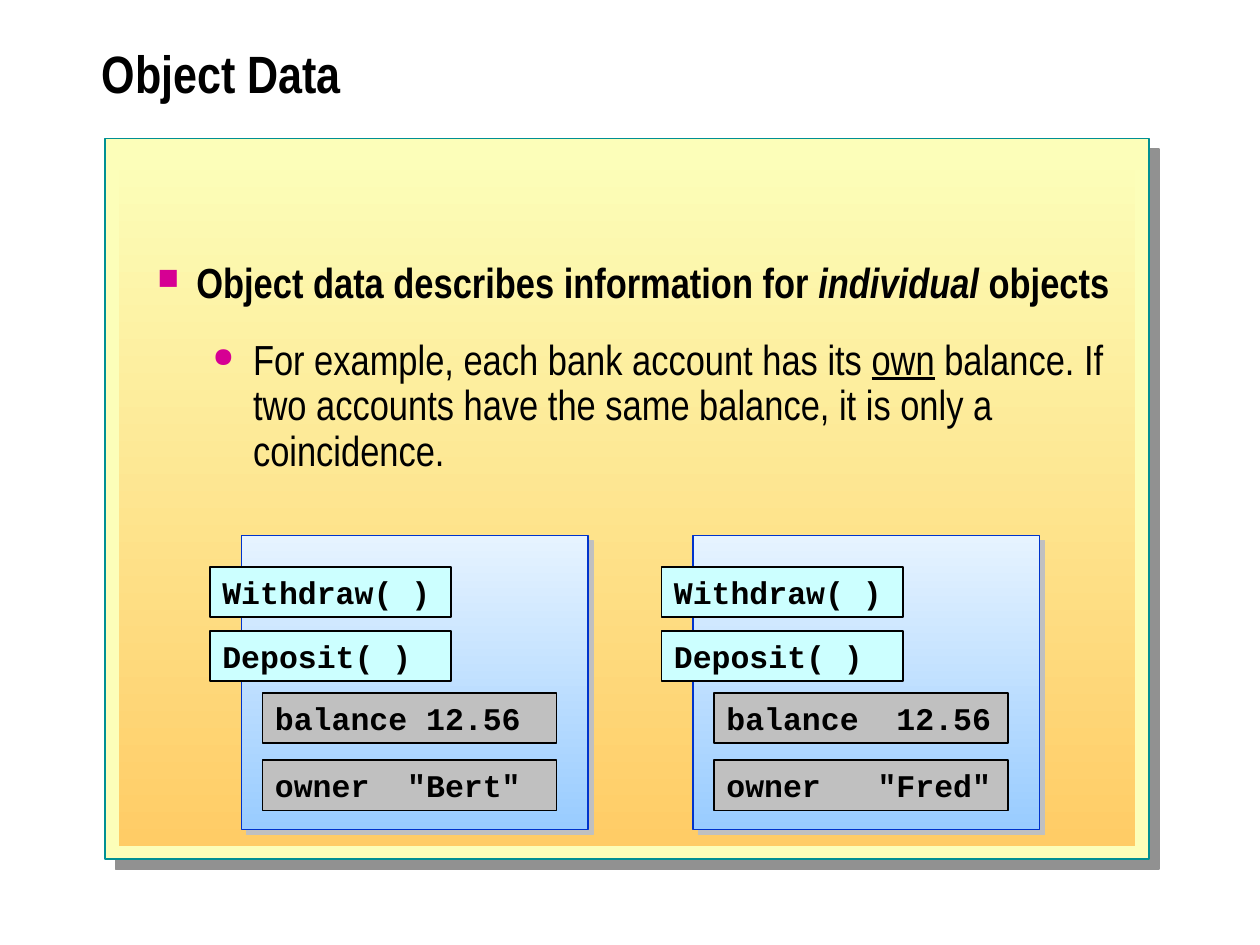
import pptx
import pptx.util
import pptx.dml.color
import pptx.enum.shapes
import pptx.enum.text
import pptx.oxml.ns
from lxml import etree

COLORS = {
    "text": "000000", "cream": "FCFEB9", "orange": "FFCC66", "teal": "009094",
    "panel_shadow": "919191", "bullet": "D60093", "sky": "E6F3FF",
    "blue": "99CCFF", "blue_line": "0033CC", "object_shadow": "C0C0C0",
    "method": "CCFFFF", "field": "C0C0C0",
}
COLS, ROWS = 120, 90


def rgb(name):
    return pptx.dml.color.RGBColor.from_string(COLORS[name])


def add_xml(parent, tag, **attrs):
    return etree.SubElement(parent, pptx.oxml.ns.qn(tag), attrs)


class Deck:
    heading_font, code_font = "Arial Narrow", "Courier New"

    def __init__(self):
        self.prs = pptx.Presentation()
        self.prs.slide_width = pptx.util.Inches(10)
        self.prs.slide_height = pptx.util.Inches(7.5)
        self.slide = self.prs.slides.add_slide(self.prs.slide_layouts[6])

    def place(self, col, row, cols, rows):
        dx, dy = self.prs.slide_width / COLS, self.prs.slide_height / ROWS
        return [round(v) for v in (col * dx, row * dy, cols * dx, rows * dy)]

    def font(self, p, name, size, bold=True):
        p.font.name, p.font.size, p.font.bold = name, pptx.util.Pt(size), bold
        p.font.color.rgb = rgb("text")

    def box(self, at, fill, line=None, width=1, shadow=None, distance=0):
        """Rectangle; two fill names give a gradient from top to bottom."""
        sp = self.slide.shapes.add_shape(
            pptx.enum.shapes.MSO_SHAPE.RECTANGLE, *self.place(*at))
        sp.shadow.inherit = False
        if len(fill) == 2:
            sp.fill.gradient()
            sp.fill.gradient_angle = 270
            for stop, name, position in zip(sp.fill.gradient_stops, fill, (0, 1)):
                stop.color.rgb, stop.position = rgb(name), position
        else:
            sp.fill.solid()
            sp.fill.fore_color.rgb = rgb(fill[0])
        if line:
            sp.line.color.rgb = rgb(line)
            sp.line.width = pptx.util.Pt(width)
        else:
            sp.line.fill.background()
        if shadow:
            effects = sp._element.spPr.find(pptx.oxml.ns.qn("a:effectLst"))
            outer = add_xml(effects, "a:outerShdw", dir="2700000", algn="ctr",
                            dist=str(pptx.util.Pt(distance)), rotWithShape="0")
            add_xml(outer, "a:srgbClr", val=COLORS[shadow])
        return sp

    def label(self, at, fill, text, tab=None):
        """Code label; a tab right-aligns the value at the given inches."""
        tf = self.box(at, [fill], "text").text_frame
        tf.vertical_anchor = pptx.enum.text.MSO_ANCHOR.TOP
        p = tf.paragraphs[0]
        p.alignment = pptx.enum.text.PP_ALIGN.LEFT
        p.add_run().text = text
        if tab:
            tabs = add_xml(p._p.get_or_add_pPr(), "a:tabLst")
            add_xml(tabs, "a:tab", pos=str(pptx.util.Inches(tab)), algn="r")
        self.font(p, self.code_font, 18)

    def text_box(self, at):
        tf = self.slide.shapes.add_textbox(*self.place(*at)).text_frame
        tf.word_wrap = True
        return tf

    def title(self, at, text):
        tf = self.text_box(at)
        tf.vertical_anchor = pptx.enum.text.MSO_ANCHOR.MIDDLE
        p = tf.paragraphs[0]
        p.line_spacing = 0.8
        p.add_run().text = text
        self.font(p, self.heading_font, 30)

    def bullet(self, p, runs, char, percent, indent, hanging, level=0):
        """Bulleted paragraph; runs are (text, font attribute to turn on)."""
        p.level, p.line_spacing = level, 0.9
        pPr = p._p.get_or_add_pPr()
        pPr.set("marL", str(pptx.util.Inches(indent)))
        pPr.set("indent", str(-pptx.util.Inches(hanging)))
        add_xml(add_xml(pPr, "a:buClr"), "a:srgbClr", val=COLORS["bullet"])
        add_xml(pPr, "a:buSzPct", val=str(percent * 1000))
        add_xml(pPr, "a:buChar", char=char)
        self.font(p, self.heading_font, 24, bold=level == 0)
        for text, emphasis in runs:
            r = p.add_run()
            r.text = text
            if emphasis:
                setattr(r.font, emphasis, True)

    def bank_object(self, col, fields, tab):
        """Object box with its methods on the edge and its data inside."""
        self.box((col, 51, 33, 28), ["sky", "blue"], "blue_line", 0.75,
                 "object_shadow", 4.2)
        for row, method in ((54, "Withdraw( )"), (60.1, "Deposit( )")):
            self.label((col - 3, row, 23, 4.8), "method", method)
        for row, field in zip((66, 72.4), fields):
            self.label((col + 2, row, 28, 4.8), "field", "\t".join(field), tab)


def main():
    deck = Deck()

    # Background panel
    deck.box((10, 13.2, 99.4, 68.6), ["cream"], "teal", 1, "panel_shadow", 8.5)
    deck.box((11.3, 14.6, 96.8, 66), ["cream", "orange"])

    # Title and bullets
    deck.title((8.5, 2, 107.5, 11), "Object Data")
    tf = deck.text_box((13.8, 24.4, 94.4, 56.3))
    deck.bullet(tf.paragraphs[0], [
        ("Object data describes information for ", None),
        ("individual", "italic"), (" objects", None)], "■", 70, 0.31, 0.31)
    p = tf.add_paragraph()
    p.space_before = pptx.util.Pt(18)
    deck.bullet(p, [
        ("For example, each bank account has its ", None), ("own", "underline"),
        (" balance. If two accounts have the same balance, "
         "it is only a coincidence.", None)], "●", 65, 0.76, 0.32, level=1)

    # Two accounts with equal balances
    deck.bank_object(23, [("balance", "12.56"), ("owner", '"Bert"')], 1.95)
    deck.bank_object(66, [("balance", "12.56"), ("owner", '"Fred"')], 2.1)

    deck.prs.save("out.pptx")


if __name__ == "__main__":
    main()
